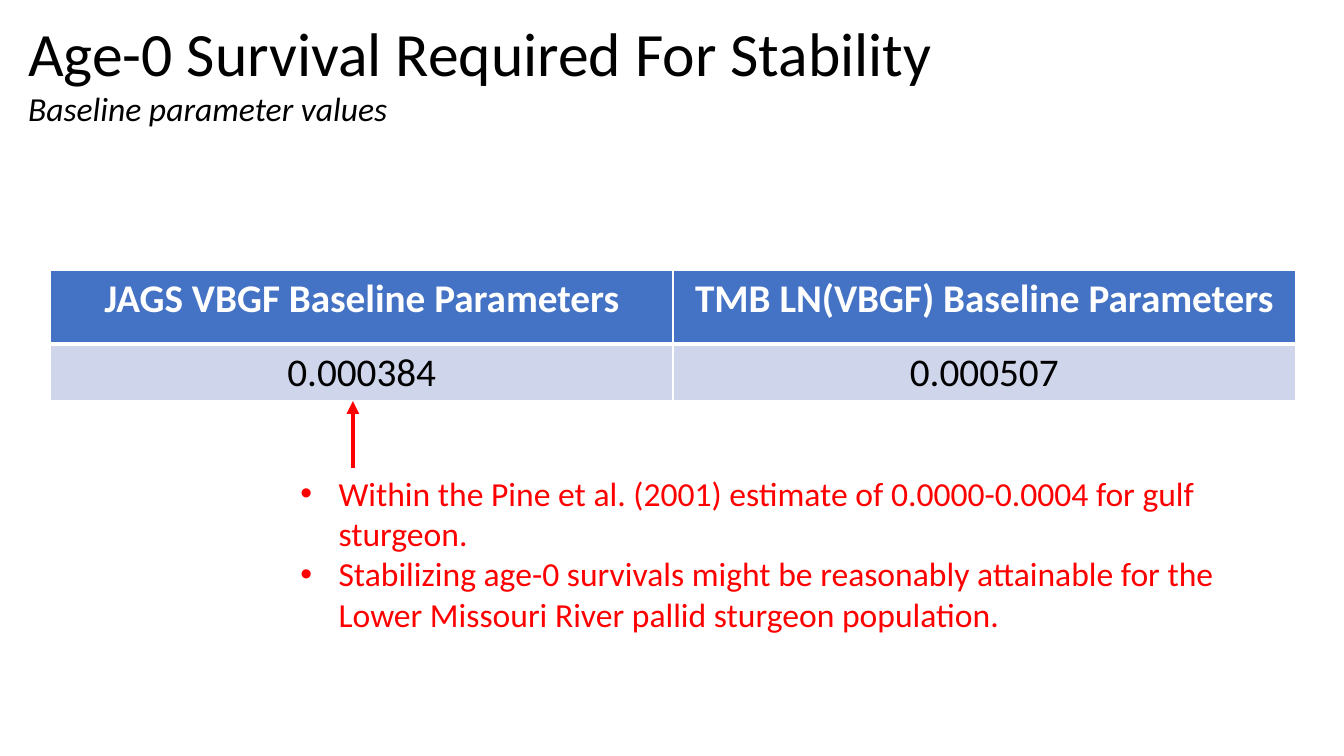
from dataclasses import dataclass

from lxml import etree
from pptx import Presentation
from pptx import util as u
from pptx.dml.color import RGBColor
from pptx.enum import shapes, text
from pptx.oxml import ns


@dataclass(frozen=True)
class Theme:
    """Colours, font and type sizes of the slide."""
    font: str = "Calibri"
    black: str = "000000"
    white: str = "FFFFFF"
    red: str = "FF0000"
    header_fill: str = "4472C4"
    body_fill: str = "CFD5EA"
    title_size: int = 44
    table_size: int = 28
    note_size: int = 24


THEME = Theme()


def add_child(parent, tag, **attributes):
    """Append a DrawingML element and return it."""
    return etree.SubElement(parent, ns.qn(tag), attributes)


def write(para, words, size, color, **formats):
    """Add one formatted span to a paragraph."""
    span = para.add_run()
    span.text = words
    values = {"name": THEME.font, "size": u.Pt(size), **formats}
    for name, value in values.items():
        setattr(span.font, name, value)
    span.font.color.rgb = RGBColor.from_string(color)


def add_text_frame(page, box):
    """Add a wrapping, top-anchored text box and return its frame."""
    frame = page.shapes.add_textbox(*map(u.Inches, box)).text_frame
    formats = {"word_wrap": True, "vertical_anchor": text.MSO_ANCHOR.TOP}
    for name, value in formats.items():
        setattr(frame, name, value)
    return frame


def add_heading(page, box, title, subtitle):
    """Place the title and its subtitle in the box."""
    left, top, width, height = box
    para = add_text_frame(page, box).paragraphs[0]
    para.line_spacing = 0.9
    write(para, title, THEME.title_size, THEME.black)
    para = add_text_frame(page, (left, top + 0.64, width, 0.5)).paragraphs[0]
    write(para, subtitle, THEME.note_size, THEME.black, italic=True)


def set_borders(cell, widths):
    """Draw white cell borders, given widths in points by side."""
    properties = cell._tc.get_or_add_tcPr()
    for side, width in widths.items():
        line = add_child(properties, f"a:ln{side}", w=str(u.Pt(width)))
        add_child(add_child(line, "a:solidFill"), "a:srgbClr", val=THEME.white)


def add_survival_table(page, box, rows, heights):
    """Fill the box with a header row and a row of survival values."""
    frame = page.shapes.add_table(len(rows), len(rows[0]), *map(u.Inches, box))
    table = frame.table
    for column in table.columns:
        column.width = u.Inches(box[2] / len(rows[0]))
    styles = (
        (THEME.header_fill, THEME.white, True, {"L": 1, "R": 1, "T": 1, "B": 3}),
        (THEME.body_fill, THEME.black, False, {"L": 1, "R": 1, "T": 3, "B": 1}),
    )
    for index, (row, words, style) in enumerate(zip(table.rows, rows, styles)):
        row.height = u.Inches(heights[index])
        fill, color, bold, borders = style
        for cell, value in zip(row.cells, words):
            set_borders(cell, borders)
            cell.fill.solid()
            cell.fill.fore_color.rgb = RGBColor.from_string(fill)
            para = cell.text_frame.paragraphs[0]
            para.alignment = text.PP_ALIGN.CENTER
            write(para, value, THEME.table_size, color, bold=bold)


def add_notes_list(page, box, notes):
    """Place the bulleted remarks in the box."""
    frame = add_text_frame(page, box)
    indent = u.Inches(0.38)
    for index, note in enumerate(notes):
        para = frame.add_paragraph() if index else frame.paragraphs[0]
        properties = para._p.get_or_add_pPr()
        properties.set("marL", str(indent))
        properties.set("indent", str(-indent))
        add_child(properties, "a:buFont", typeface="Arial")
        add_child(properties, "a:buChar", char="•")
        write(para, note, THEME.note_size, THEME.red)


def add_arrow(page, start, end):
    """Draw a red arrow from start to end."""
    arrow = page.shapes.add_connector(
        shapes.MSO_CONNECTOR.STRAIGHT, *map(u.Inches, start + end))
    arrow.line.color.rgb = RGBColor.from_string(THEME.red)
    arrow.line.width = u.Pt(3)
    add_child(arrow.line._get_or_add_ln(), "a:tailEnd", type="triangle")
    add_child(arrow._element.spPr, "a:effectLst")


def build_survival_slide(deck):
    """Lay out the survival slide."""
    page = deck.slides.add_slide(deck.slide_layouts[6])
    add_heading(page, (0.18, 0.18, 11.9, 1.45),
                "Age-0 Survival Required For Stability",
                "Baseline parameter values")
    add_survival_table(page, (0.5, 2.68, 12.35, 1.29), (
        ("JAGS VBGF Baseline Parameters", "TMB LN(VBGF) Baseline Parameters"),
        ("0.000384", "0.000507"),
    ), (0.73, 0.56))
    add_notes_list(page, (2.88, 4.64, 9.97, 1.72), (
        "Within the Pine et al. (2001) estimate of 0.0000-0.0004 for gulf sturgeon.",
        "Stabilizing age-0 survivals might be reasonably attainable for the "
        "Lower Missouri River pallid sturgeon population.",
    ))
    add_arrow(page, (3.5, 4.64), (3.5, 3.98))


def main():
    """Build and save the deck."""
    deck = Presentation()
    deck.slide_width = u.Inches(13.33)
    deck.slide_height = u.Inches(7.5)
    build_survival_slide(deck)
    deck.save("out.pptx")


if __name__ == "__main__":
    main()
